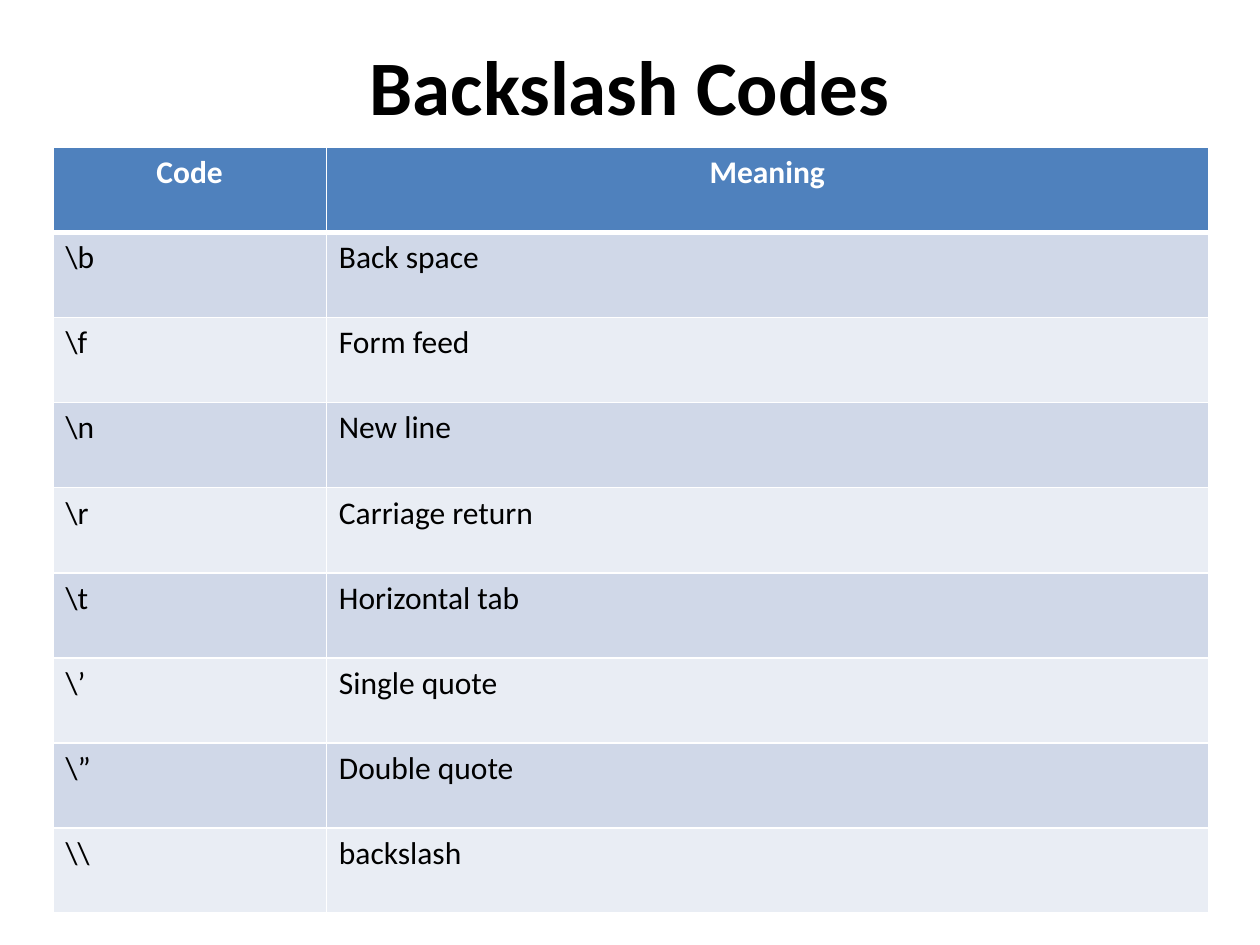
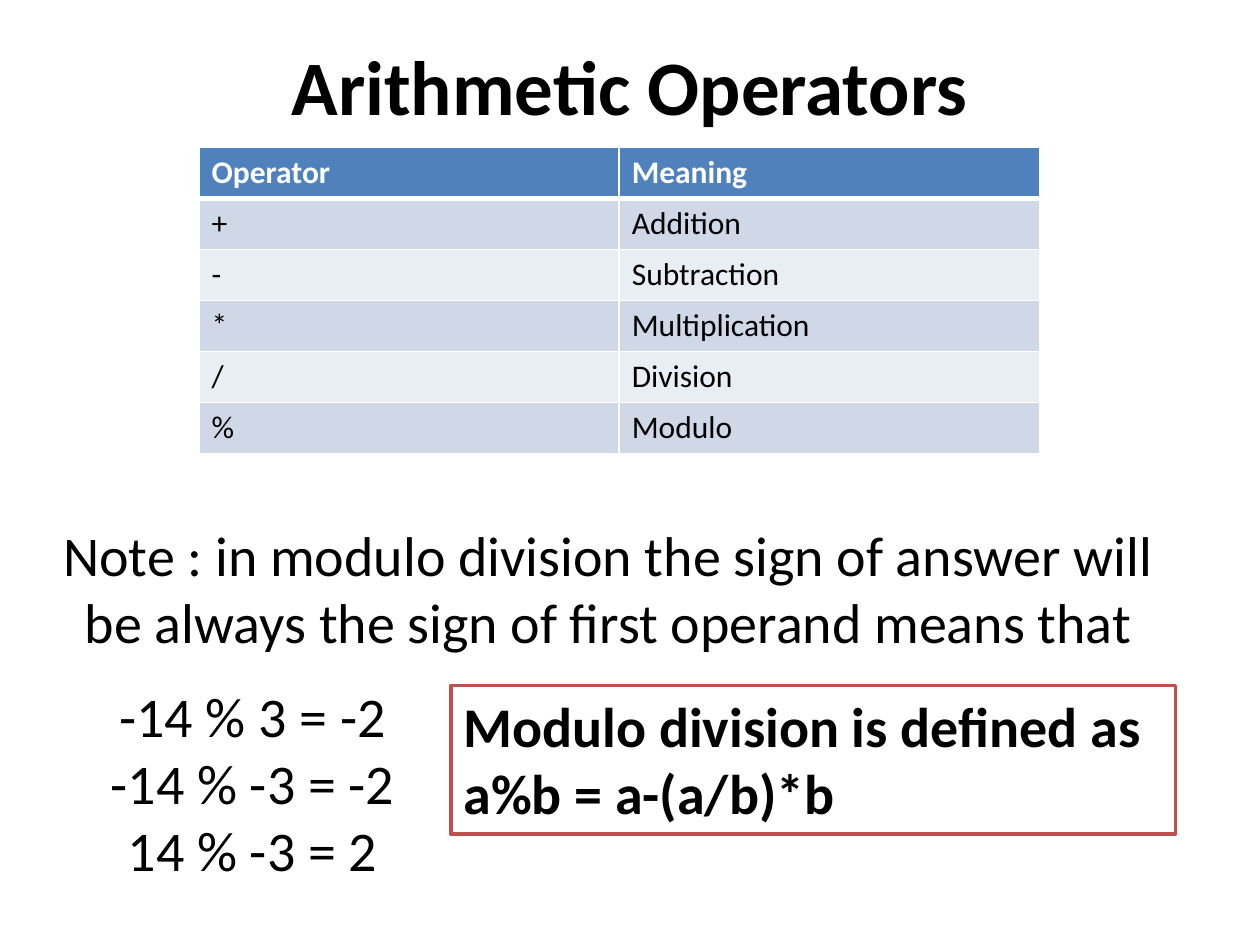
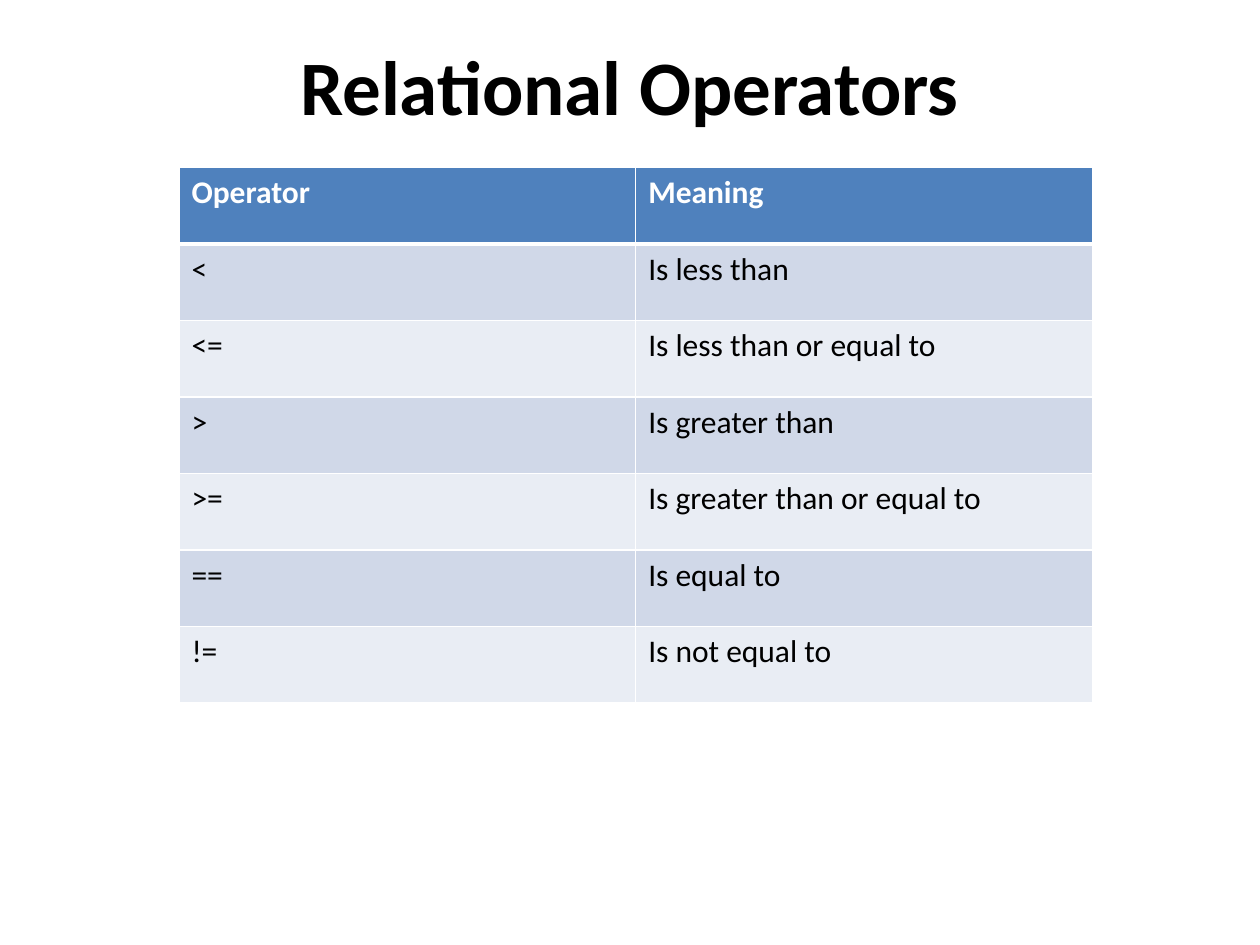
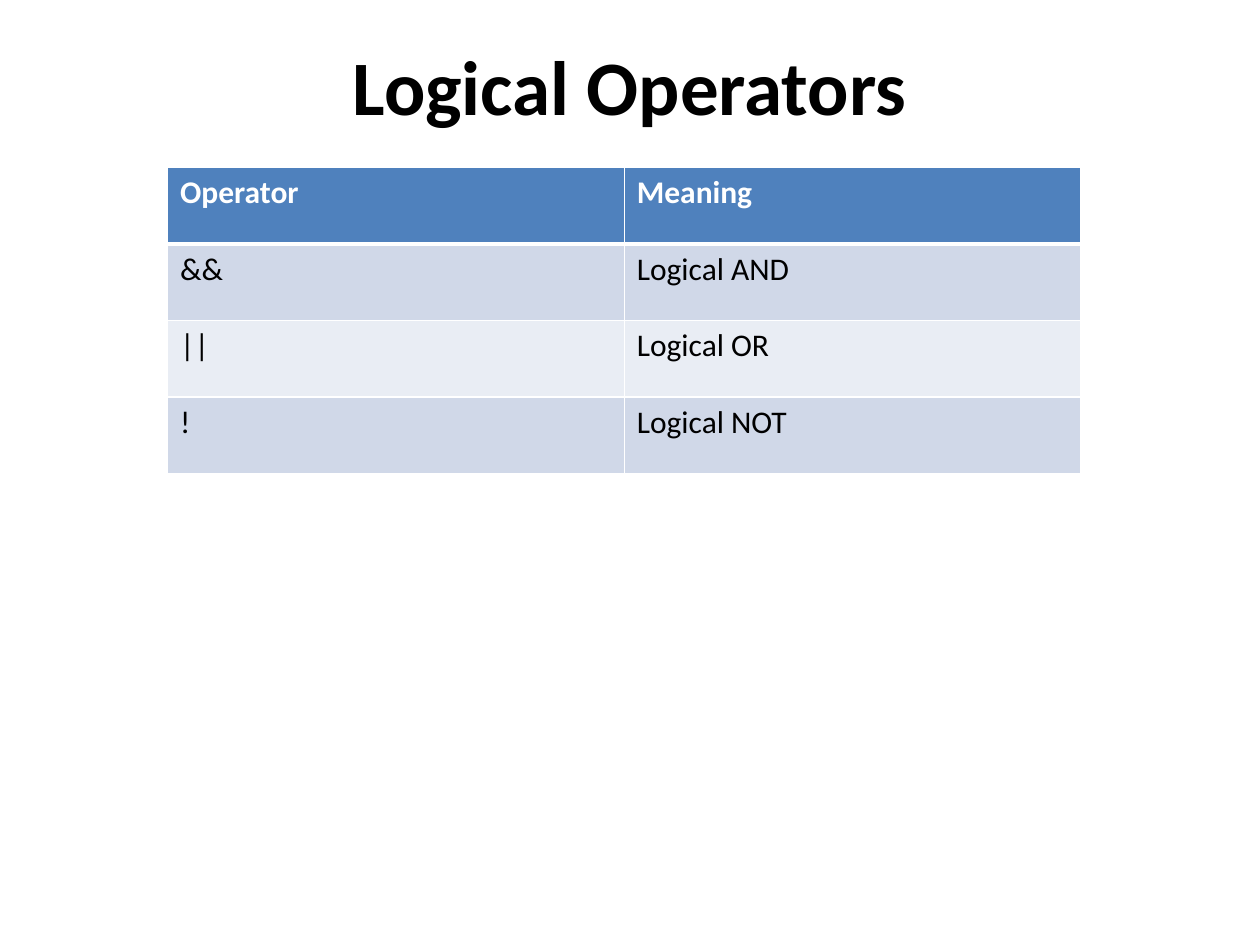
from dataclasses import dataclass

from lxml.etree import SubElement
from pptx import Presentation
from pptx.dml.color import RGBColor as Color
from pptx.enum.shapes import MSO_SHAPE as Shape
from pptx.enum.text import MSO_ANCHOR as Anchor, PP_ALIGN as Align
from pptx.oxml.ns import qn
from pptx.util import Inches, Pt


@dataclass(frozen=True)
class Theme:
    font: str = "Calibri"
    ink: str = "000000"
    paper: str = "FFFFFF"
    header: str = "4F81BD"
    bands: tuple = ("D0D8E8", "E9EDF4")
    accent: str = "C0504D"
    title_size: int = 44
    note_size: int = 32
    table_size: int = 18
    rule: int = 1
    header_rule: int = 3
    frame_rule: int = 2


THEME = Theme()
TITLE_AREA = (0, 0.17, 10, 1)

SLIDES = [
    {
        "title": "Backslash Codes",
        "area": (0.42, 1.17, 9.17, 6.08),
        "columns": (2.17, 7),
        "header_align": Align.CENTER,
        "rows": [
            ("Code", "Meaning"),
            (r"\b", "Back space"),
            (r"\f", "Form feed"),
            (r"\n", "New line"),
            (r"\r", "Carriage return"),
            (r"\t", "Horizontal tab"),
            (r"\’", "Single quote"),
            (r"\”", "Double quote"),
            (r"\\", "backslash"),
        ],
    },
    {
        "title": "Arithmetic Operators",
        "area": (1.58, 1.17, 6.67, 2.43),
        "rows": [
            ("Operator", "Meaning"),
            ("+", "Addition"),
            ("-", "Subtraction"),
            ("*", "Multiplication"),
            ("/", "Division"),
            ("%", "Modulo"),
        ],
        "notes": [
            ((0.33, 4.08, 9, 1.18), [
                "Note : in modulo division the sign of answer will "
                "be always the sign of first operand means that",
            ]),
            ((0.42, 5.36, 3.17, 1.72), [
                "-14 % 3 = -2",
                "-14 % -3 = -2",
                "14 % -3 = 2",
            ]),
        ],
        "definition": ((3.58, 5.44, 5.75, 1.18), [
            "Modulo division is defined as",
            "a%b = a-(a/b)*b",
        ]),
    },
    {
        "title": "Relational Operators",
        "area": (1.42, 1.33, 7.25, 4.25),
        "rows": [
            ("Operator", "Meaning"),
            ("<", "Is less than"),
            ("<=", "Is less than or equal to"),
            (">", "Is greater than"),
            (">=", "Is greater than or equal to"),
            ("==", "Is equal to"),
            ("!=", "Is not equal to"),
        ],
    },
    {
        "title": "Logical Operators",
        "area": (1.33, 1.33, 7.25, 2.43),
        "rows": [
            ("Operator", "Meaning"),
            ("&&", "Logical AND"),
            ("||", "Logical OR"),
            ("!", "Logical NOT"),
        ],
    },
]


def inches(area):
    return [Inches(length) for length in area]


def paint(fill, color):
    fill.solid()
    fill.fore_color.rgb = Color.from_string(color)


def write(frame, lines, size, bold=False, color=THEME.ink, align=Align.LEFT):
    for index, line in enumerate(lines):
        para = frame.add_paragraph() if index else frame.paragraphs[0]
        para.alignment = align
        span = para.add_run()
        span.text = line
        span.font.name = THEME.font
        span.font.size = Pt(size)
        span.font.bold = bold
        span.font.color.rgb = Color.from_string(color)


def add_text(page, area, lines, size, bold=False, anchor=Anchor.TOP):
    frame = page.shapes.add_textbox(*inches(area)).text_frame
    frame.word_wrap = True
    frame.vertical_anchor = anchor
    write(frame, lines, size, bold, align=Align.CENTER)


def add_definition(page, area, lines):
    box = page.shapes.add_shape(Shape.RECTANGLE, *inches(area))
    box.shadow.inherit = False
    paint(box.fill, THEME.paper)
    box.line.color.rgb = Color.from_string(THEME.accent)
    box.line.width = Pt(THEME.frame_rule)
    box.text_frame.word_wrap = True
    box.text_frame.vertical_anchor = Anchor.TOP
    write(box.text_frame, lines, THEME.note_size, bold=True)


def set_borders(cell, top, bottom):
    properties = cell._tc.get_or_add_tcPr()
    widths = {"L": THEME.rule, "R": THEME.rule, "T": top, "B": bottom}
    for position, (side, width) in enumerate(widths.items()):
        line = SubElement(properties, qn(f"a:ln{side}"), w=str(Pt(width)))
        fill = SubElement(line, qn("a:solidFill"))
        SubElement(fill, qn("a:srgbClr"), val=THEME.paper)
        properties.insert(position, line)


def add_code_table(page, area, rows, columns=None, header_align=Align.LEFT):
    count = len(rows[0])
    columns = columns or [area[2] / count] * count
    table = page.shapes.add_table(len(rows), count, *inches(area)).table
    for column, width in zip(table.columns, columns):
        column.width = Inches(width)
    for index, texts in enumerate(rows):
        table.rows[index].height = Inches(area[3] / len(rows))
        is_header = index == 0
        fill = THEME.header if is_header else THEME.bands[(index - 1) % 2]
        color = THEME.paper if is_header else THEME.ink
        align = header_align if is_header else Align.LEFT
        top = THEME.header_rule if index == 1 else THEME.rule
        bottom = THEME.header_rule if is_header else THEME.rule
        for cell, text in zip(table.rows[index].cells, texts):
            paint(cell.fill, fill)
            set_borders(cell, top, bottom)
            write(cell.text_frame, [text], THEME.table_size, is_header, color, align)


def main():
    deck = Presentation()
    deck.slide_width, deck.slide_height = Inches(10), Inches(7.5)
    for content in SLIDES:
        page = deck.slides.add_slide(deck.slide_layouts[6])
        add_text(page, TITLE_AREA, [content["title"]], THEME.title_size, True, Anchor.MIDDLE)
        add_code_table(page, content["area"], content["rows"], content.get("columns"),
                       content.get("header_align", Align.LEFT))
        for area, lines in content.get("notes", []):
            add_text(page, area, lines, THEME.note_size)
        if "definition" in content:
            add_definition(page, *content["definition"])
    deck.save("out.pptx")


if __name__ == "__main__":
    main()
